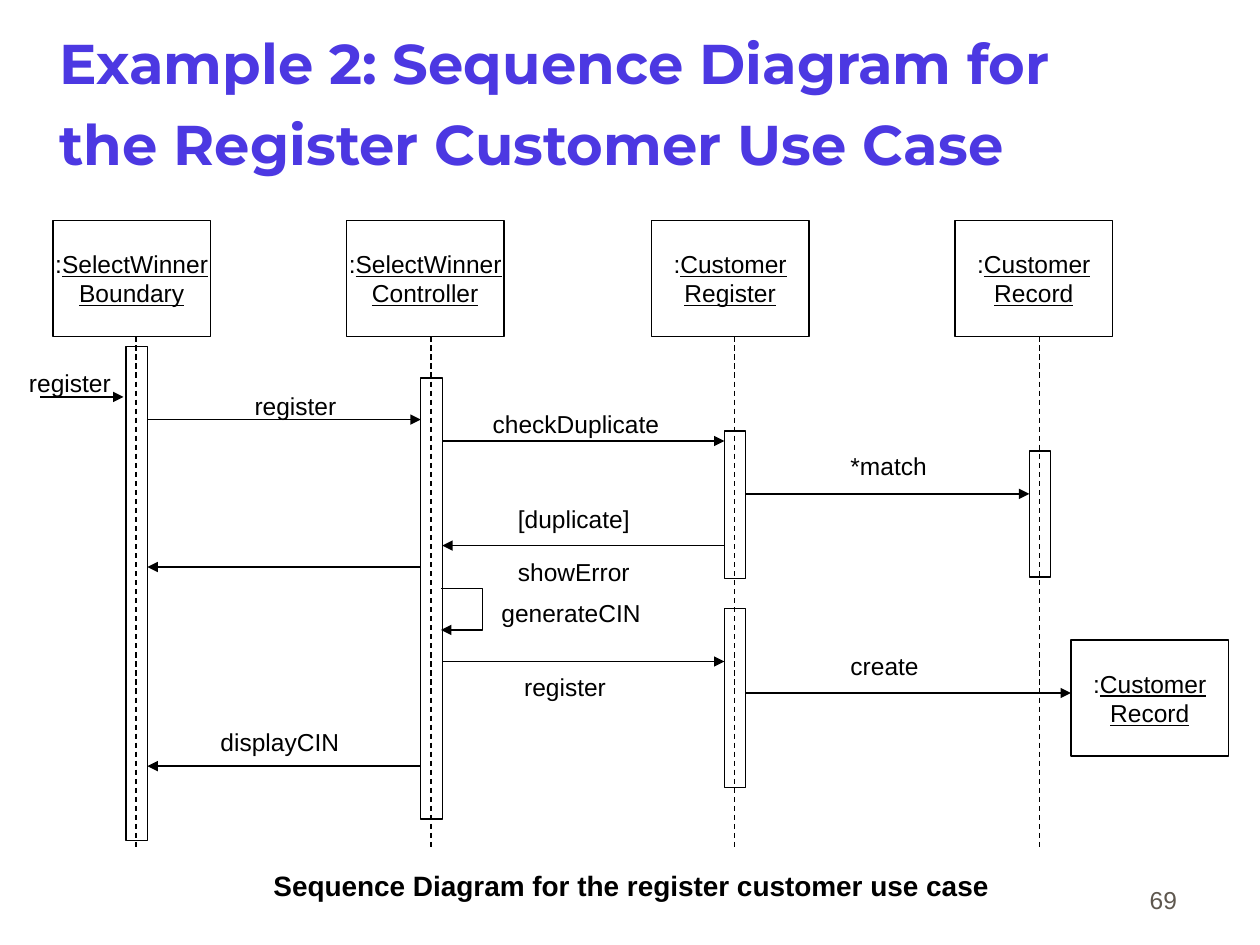
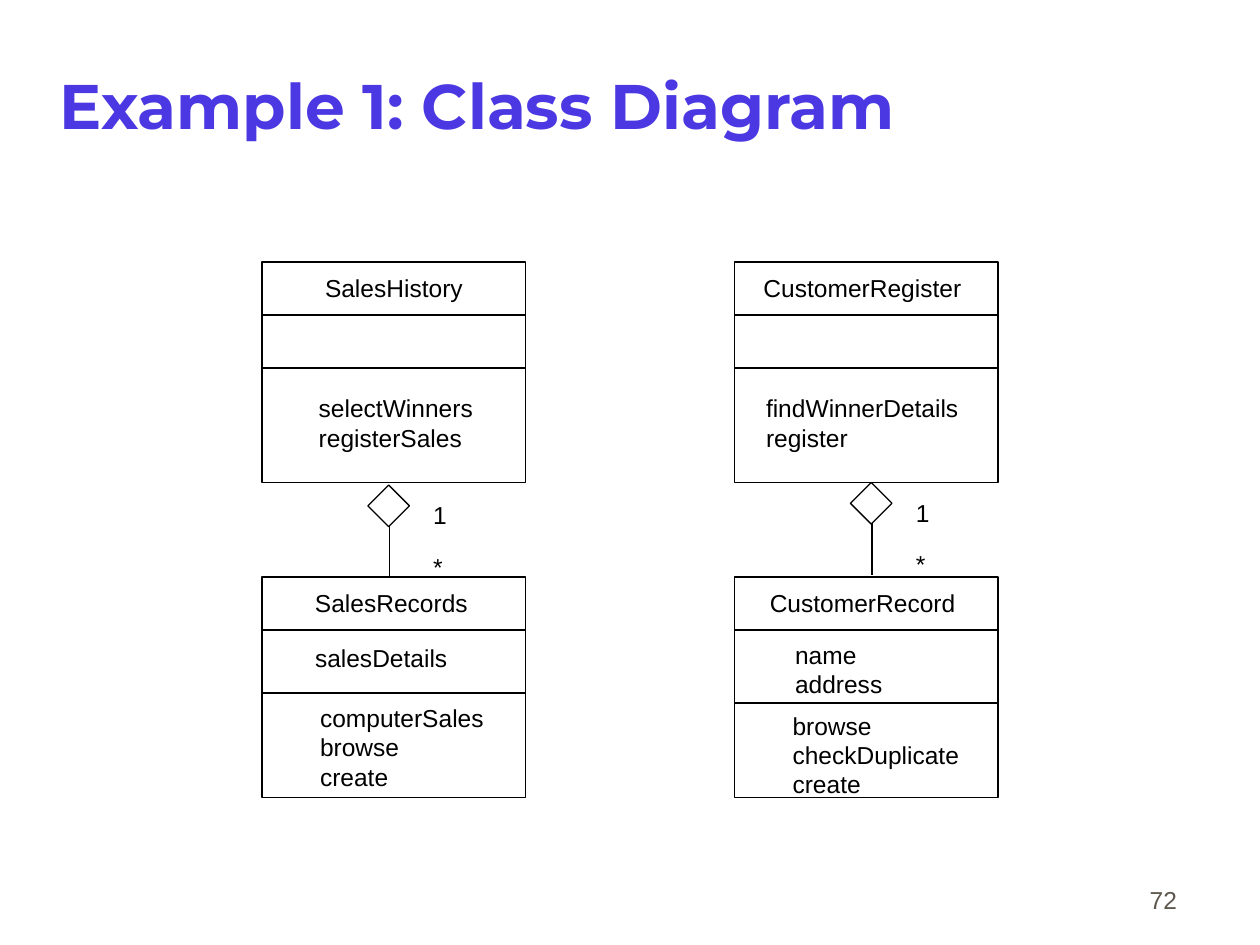
"""Builds a sequence diagram slide and a class diagram slide."""
from lxml import etree
from pptx import Presentation
from pptx.dml.color import RGBColor
from pptx.enum.dml import MSO_LINE
from pptx.enum.shapes import MSO_CONNECTOR, MSO_SHAPE
from pptx.enum.text import MSO_ANCHOR, MSO_AUTO_SIZE, PP_ALIGN
from pptx.oxml.ns import qn
from pptx.util import Inches, Pt

BLACK = RGBColor(0x00, 0x00, 0x00)
VIOLET = RGBColor(0x4C, 0x38, 0xE2)
BROWN_GREY = RGBColor(0x5E, 0x57, 0x4E)
LEFT, CENTER, RIGHT = PP_ALIGN.LEFT, PP_ALIGN.CENTER, PP_ALIGN.RIGHT
TOP, MIDDLE, BOTTOM = MSO_ANCHOR.TOP, MSO_ANCHOR.MIDDLE, MSO_ANCHOR.BOTTOM
NO_FIT, GROW = MSO_AUTO_SIZE.NONE, MSO_AUTO_SIZE.SHAPE_TO_FIT_TEXT
RECTANGLE, DIAMOND = MSO_SHAPE.RECTANGLE, MSO_SHAPE.DIAMOND
STRAIGHT = MSO_CONNECTOR.STRAIGHT
DASH = MSO_LINE.DASH
TITLE_ONLY = 5
PADDED = (0.1, 0.05)
LABEL_SLACK = 0.03

HEAD_TOP, HEAD_WIDTH, HEAD_HEIGHT = 1.75, 1.25, 0.92
HEAD_BOTTOM, LIFELINE_END = 2.67, 6.75
BAR_WIDTH, BAR_OFFSET = 0.17, 0.08
CLASS_WIDTH, CLASS_HEIGHT = 2.09, 1.75

PARTICIPANTS = [
    (0.42, 1.08, "SelectWinner\nBoundary"),
    (2.75, 3.42, "SelectWinner\nController"),
    (5.17, 5.83, "Customer\nRegister"),
    (7.58, 8.25, "Customer\nRecord"),
]
BOUNDARY, CONTROLLER, REGISTER, RECORD = (x for _, x, _ in PARTICIPANTS)
NEW_RECORD_LEFT, NEW_RECORD_TOP = 8.5, 5.08
ACTIVATIONS = [
    (BOUNDARY, 2.75, 3.92),
    (CONTROLLER, 3, 3.5),
    (REGISTER, 3.42, 1.17),
    (REGISTER, 4.83, 1.42),
    (RECORD, 3.58, 1),
]
MESSAGES = [
    (BOUNDARY, CONTROLLER, 3.33),
    (CONTROLLER, REGISTER, 3.5),
    (REGISTER, RECORD, 3.92),
    (REGISTER, CONTROLLER, 4.33),
    (CONTROLLER, BOUNDARY, 4.5),
    (CONTROLLER, REGISTER, 5.25),
    (CONTROLLER, BOUNDARY, 6.08),
]
MESSAGE_LABELS = [
    ("register", 0.23, 2.92, 0.65),
    ("register", 2.02, 3.1, 0.65),
    ("checkDuplicate", 3.91, 3.25, 1.32),
    ("*match", 6.75, 3.58, 0.61),
    ("[duplicate]", 4.11, 4, 0.89),
    ("showError", 4.11, 4.42, 0.89),
    ("generateCIN", 3.98, 4.75, 1.11),
    ("create", 6.75, 5.17, 0.54),
    ("register", 4.16, 5.33, 0.65),
    ("displayCIN", 1.75, 5.77, 0.94),
]

CLASSES = [
    (2.08, 2.08, (2.5, 2.92), [
        ("SalesHistory", 2.58, 2.17, 1.1),
        ("selectWinners\nregisterSales", 2.53, 3.12, 1.23),
    ]),
    (5.83, 2.08, (2.5, 2.92), [
        ("CustomerRegister", 6.06, 2.17, 1.57),
        ("findWinnerDetails\nregister", 6.08, 3.12, 1.53),
    ]),
    (2.08, 4.58, (5, 5.5), [
        ("SalesRecords", 2.5, 4.67, 1.21),
        ("salesDetails", 2.5, 5.1, 1.05),
        ("computerSales\nbrowse\ncreate", 2.54, 5.58, 1.3),
    ]),
    (5.83, 4.58, (5, 5.58), [
        ("CustomerRecord", 6.11, 4.67, 1.47),
        ("name\naddress", 6.31, 5.08, 0.69),
        ("browse\ncheckDuplicate\ncreate", 6.29, 5.64, 1.32),
    ]),
]
AGGREGATIONS = [(2.92, 3.85), (6.75, 3.83)]


def add_run(paragraph, text, size, font, color, bold=False, underline=False):
    """Append one formatted run."""
    run = paragraph.add_run()
    run.text = text
    run.font.size = Pt(size)
    run.font.name = font
    run.font.color.rgb = color
    run.font.bold = bold
    run.font.underline = underline


def write_text(shape, text, size=14, font="Arial", color=BLACK, bold=False,
               underline=False, prefix="", align=LEFT, anchor=TOP,
               inset=(0, 0), wrap=False, fit=NO_FIT, space_before=0):
    """Write one paragraph per line, with an optional plain prefix."""
    frame = shape.text_frame
    frame.margin_left = frame.margin_right = Inches(inset[0])
    frame.margin_top = frame.margin_bottom = Inches(inset[1])
    frame.word_wrap = wrap
    frame.auto_size = fit
    frame.vertical_anchor = anchor
    for index, line in enumerate(text.split("\n")):
        paragraph = frame.add_paragraph() if index else frame.paragraphs[0]
        paragraph.alignment = align
        paragraph.space_before = Pt(space_before)
        if prefix and index == 0:
            add_run(paragraph, prefix, size, font, color)
        add_run(paragraph, line, size, font, color, bold, underline)


class DiagramDeck:
    """Holds the shared style and the current slide."""

    title_font = "Montserrat"
    line_width = Pt(0.75)

    def __init__(self):
        """Start an empty presentation."""
        self.presentation = Presentation()
        self.presentation.slide_width = Inches(10)
        self.presentation.slide_height = Inches(7.5)
        self.slide = None

    def start_slide(self, title, number, size, space_before, top, height):
        """Add a slide with its title and page number."""
        layout = self.presentation.slide_layouts[TITLE_ONLY]
        self.slide = self.presentation.slides.add_slide(layout)
        shape = self.slide.shapes.title
        shape.left, shape.top = Inches(0.45), Inches(top)
        shape.width, shape.height = Inches(8.5), Inches(height)
        write_text(shape, title, size=size, font=self.title_font, color=VIOLET,
                   bold=True, anchor=MIDDLE, inset=(0.02, 0.05), wrap=True,
                   space_before=space_before)
        self.label(number, 7.36, 6.81, 2.05, 0.5, color=BROWN_GREY,
                   align=RIGHT, anchor=BOTTOM, inset=PADDED, wrap=True,
                   fit=NO_FIT, space_before=8.8)
        return shape

    def label(self, text, left, top, width, height=None, fit=GROW, **style):
        """Add a text box, by default as tall as its lines."""
        if height is None:
            height = 0.23 * len(text.split("\n"))
        box = self.slide.shapes.add_textbox(
            Inches(left), Inches(top), Inches(width + LABEL_SLACK), Inches(height))
        write_text(box, text, fit=fit, **style)

    def outline(self, shape):
        """Leave a shape unfilled with a thin black line."""
        shape.shadow.inherit = False
        shape.fill.background()
        shape.line.color.rgb = BLACK
        shape.line.width = self.line_width

    def box(self, left, top, width, height, kind=RECTANGLE):
        """Add an outlined preset shape."""
        shape = self.slide.shapes.add_shape(
            kind, Inches(left), Inches(top), Inches(width), Inches(height))
        self.outline(shape)
        return shape

    def arrowhead(self, shape):
        """Put a triangle at the end of a line."""
        line = shape.element.spPr.find(qn("a:ln"))
        etree.SubElement(line, qn("a:tailEnd"), type="triangle")

    def line(self, start_x, start_y, end_x, end_y, dashed=False, arrow=False):
        """Add a straight connector."""
        connector = self.slide.shapes.add_connector(
            STRAIGHT, Inches(start_x), Inches(start_y), Inches(end_x), Inches(end_y))
        connector.line.color.rgb = BLACK
        connector.line.width = self.line_width
        if dashed:
            connector.line.dash_style = DASH
        if arrow:
            self.arrowhead(connector)
        etree.SubElement(connector.element.spPr, qn("a:effectLst"))

    def self_call(self, left, top, size):
        """Add an arrow that leaves a bar and returns to it."""
        right, bottom = Inches(left + size), Inches(top + size)
        builder = self.slide.shapes.build_freeform(Inches(left), Inches(top))
        builder.add_line_segments(
            [(right, Inches(top)), (right, bottom), (Inches(left), bottom)], close=False)
        shape = builder.convert_to_shape()
        self.outline(shape)
        self.arrowhead(shape)

    def participant(self, left, top, name):
        """Add an object box with an underlined name."""
        shape = self.box(left, top, HEAD_WIDTH, HEAD_HEIGHT)
        write_text(shape, name, prefix=":", underline=True, align=CENTER,
                   anchor=MIDDLE, inset=PADDED)

    def message(self, source, target, y):
        """Add an arrow between the facing edges of two bars."""
        near, far = BAR_WIDTH - BAR_OFFSET, -BAR_OFFSET
        if source > target:
            near, far = far, near
        self.line(source + near, y, target + far, y, arrow=True)

    def class_box(self, left, top, dividers, labels):
        """Add a class with its compartments and texts."""
        self.box(left, top, CLASS_WIDTH, CLASS_HEIGHT)
        for y in dividers:
            self.line(left, y, left + CLASS_WIDTH, y)
        for label in labels:
            self.label(*label)

    def aggregation(self, left, top):
        """Add a one-to-many aggregation below a class."""
        self.box(left, top, 0.33, 0.33, DIAMOND)
        self.line(left + 0.17, top + 0.32, left + 0.17, top + 0.73)
        self.label("1", left + 0.42, top + 0.07, 0.31, 0.34, inset=PADDED)
        self.label("*", left + 0.42, top + 0.48, 0.27, 0.34, inset=PADDED)


def build_sequence_slide(deck):
    """Build the sequence diagram."""
    title = deck.start_slide(
        "Example 2: Sequence Diagram for the Register Customer Use Case",
        "69", 32, 13.6, 0.2, 1.25)
    add_run(title.text_frame.paragraphs[0], " ", 40, deck.title_font, VIOLET, True)
    for left, lifeline, name in PARTICIPANTS:
        deck.participant(left, HEAD_TOP, name)
        deck.line(lifeline, HEAD_BOTTOM, lifeline, LIFELINE_END, dashed=True)
    deck.participant(NEW_RECORD_LEFT, NEW_RECORD_TOP, "Customer\nRecord")
    for lifeline, top, height in ACTIVATIONS:
        deck.box(lifeline - BAR_OFFSET, top, BAR_WIDTH, height)
    for message in MESSAGES:
        deck.message(*message)
    deck.line(0.32, 3.15, 0.98, 3.15, arrow=True)
    deck.line(5.92, 5.5, NEW_RECORD_LEFT, 5.5, arrow=True)
    deck.self_call(3.5, 4.67, 0.33)
    for label in MESSAGE_LABELS:
        deck.label(*label)
    deck.label("Sequence Diagram for the register customer use case",
               2.17, 6.89, 5.68, 0.27, size=16, bold=True)


def build_class_slide(deck):
    """Build the class diagram."""
    deck.start_slide("Example 1: Class Diagram", "72", 36, 8.1, 0.18, 1.29)
    for class_definition in CLASSES:
        deck.class_box(*class_definition)
    for aggregation in AGGREGATIONS:
        deck.aggregation(*aggregation)


def main():
    """Build and save the presentation."""
    deck = DiagramDeck()
    build_sequence_slide(deck)
    build_class_slide(deck)
    deck.presentation.save("out.pptx")


if __name__ == "__main__":
    main()
